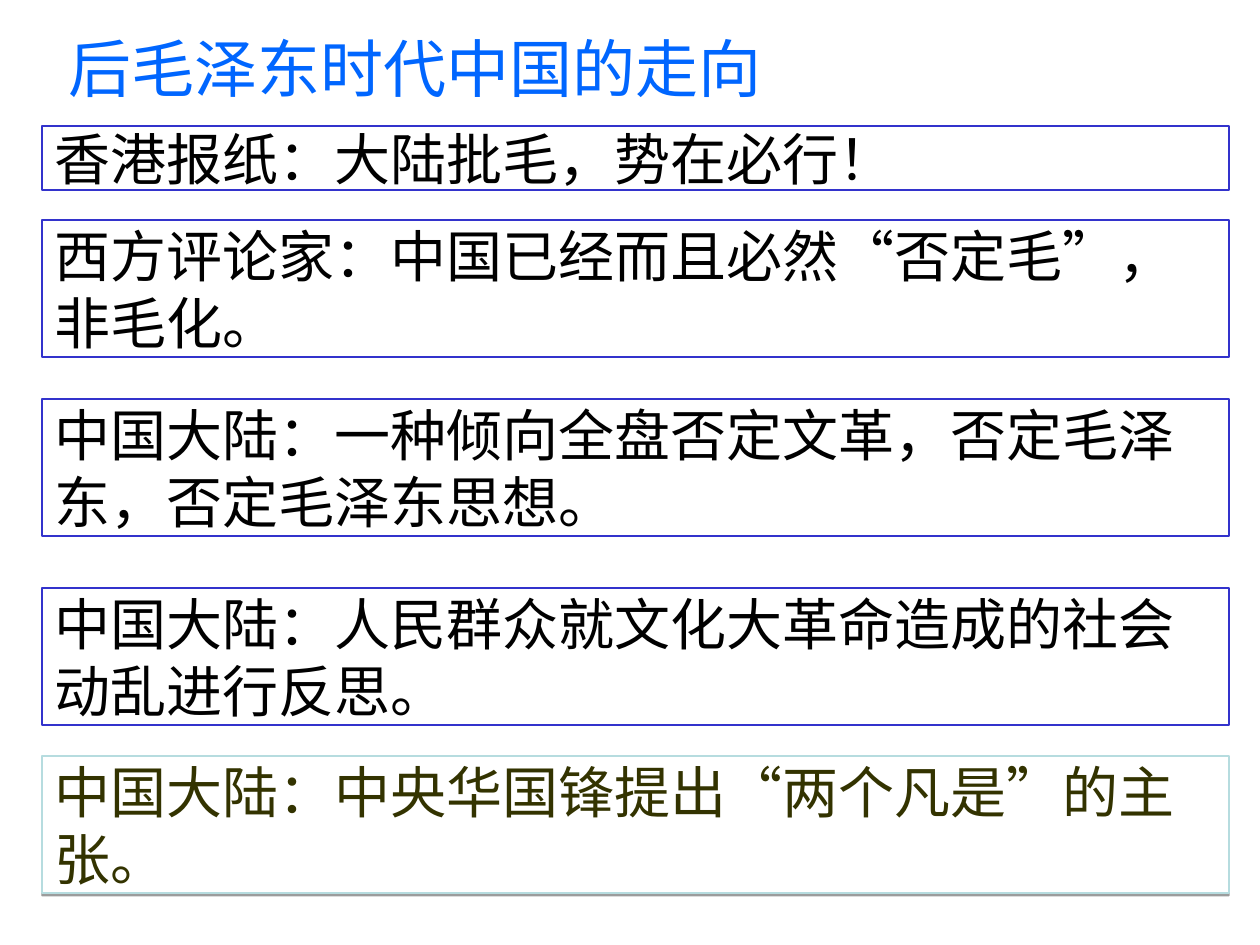
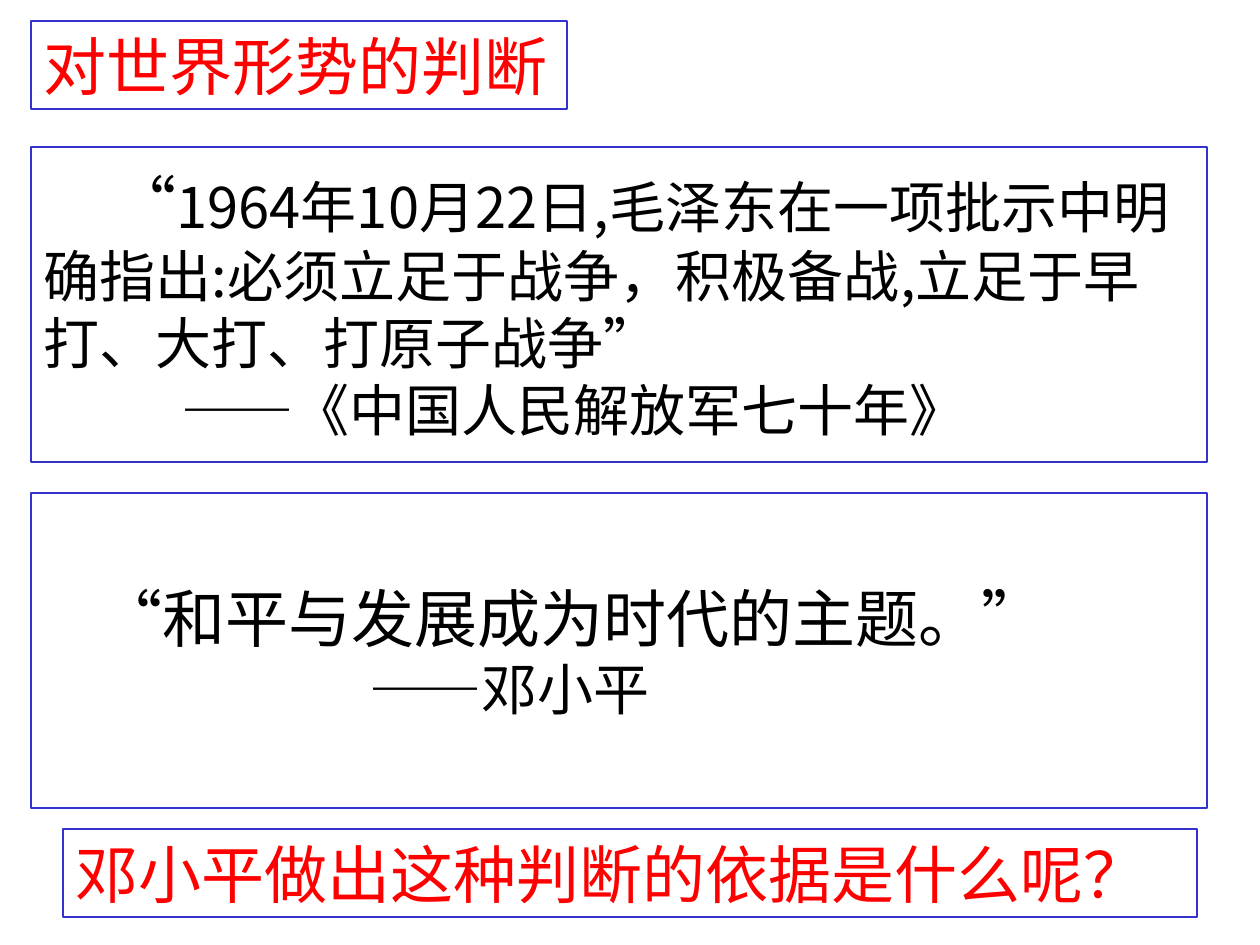
"""Build two slides on the course of China after Mao and its view of the world."""
import lxml.etree
import pptx
import pptx.dml.color
import pptx.enum.lang
import pptx.enum.shapes
import pptx.enum.text
import pptx.oxml.ns
import pptx.util

EMU_PER_PX = 914400 / 126
FONT = "Noto Sans CJK SC"
BLACK = pptx.dml.color.RGBColor(0x00, 0x00, 0x00)
WHITE = pptx.dml.color.RGBColor(0xFF, 0xFF, 0xFF)
BLUE = pptx.dml.color.RGBColor(0x00, 0x66, 0xFF)
RED = pptx.dml.color.RGBColor(0xFF, 0x00, 0x00)
OLIVE = pptx.dml.color.RGBColor(0x33, 0x33, 0x00)
BORDER = pptx.dml.color.RGBColor(0x33, 0x33, 0xCC)
PALE_BORDER = pptx.dml.color.RGBColor(0xB6, 0xDC, 0xDF)
LARGE, BODY = 36, 32
MIDDLE = pptx.enum.text.MSO_ANCHOR.MIDDLE
TOP = pptx.enum.text.MSO_ANCHOR.TOP

TREND_TITLE = "后毛泽东时代中国的走向"
VIEW_LEFT, VIEW_WIDTH = 42, 1187
HIGHLIGHT = {"color": OLIVE, "line": PALE_BORDER, "fill": WHITE, "shadow": True}
VIEWS = [
    (126, 64, "香港报纸：大陆批毛，势在必行！", {}),
    (220, 137, "西方评论家：中国已经而且必然“否定毛”，非毛化。", {}),
    (399, 137, "中国大陆：一种倾向全盘否定文革，否定毛泽东，否定毛泽东思想。", {}),
    (588, 137, "中国大陆：人民群众就文化大革命造成的社会动乱进行反思。", {}),
    (756, 137, "中国大陆：中央华国锋提出“两个凡是”的主张。", HIGHLIGHT),
]

QUOTE_LEFT, QUOTE_WIDTH, QUOTE_HEIGHT = 31, 1176, 315
QUOTES = [
    (147, [
        (70, [("“", LARGE),
              ("1964年10月22日,毛泽东在一项批示中明确指出:必须立足于战争，"
               "积极备战,立足于早打、大打、打原子战争”", BODY)]),
        (138, [("——《中国人民解放军七十年》", BODY)]),
    ]),
    (493, [
        (56, [("“和平与发展成为时代的主题。”", LARGE)]),
        (326, [("——邓小平", BODY)]),
    ]),
]
RED_LINES = [
    ((31, 21, 536, 88), "对世界形势的判断"),
    ((63, 829, 1134, 88), "邓小平做出这种判断的依据是什么呢？"),
]


def px(length):
    return pptx.util.Emu(round(length * EMU_PER_PX))


def add_shadow(shape):
    effects = shape._element.spPr.find(pptx.oxml.ns.qn("a:effectLst"))
    shadow = lxml.etree.SubElement(effects, pptx.oxml.ns.qn("a:outerShdw"),
                                   dist="20320", dir="5400000", rotWithShape="0")
    color = lxml.etree.SubElement(shadow, pptx.oxml.ns.qn("a:srgbClr"), val="000000")
    lxml.etree.SubElement(color, pptx.oxml.ns.qn("a:alpha"), val="38000")


def add_text(slide, box, text, size=BODY, color=BLACK, line=BORDER, fill=None,
             shadow=False, anchor=MIDDLE, align=pptx.enum.text.PP_ALIGN.LEFT):
    """Add a box with text, given as a string or as (indent, runs) paragraphs."""
    shape = slide.shapes.add_shape(pptx.enum.shapes.MSO_SHAPE.RECTANGLE, *map(px, box))
    shape.shadow.inherit = False
    if shadow:
        add_shadow(shape)
    if fill is None:
        shape.fill.background()
    else:
        shape.fill.solid()
        shape.fill.fore_color.rgb = fill
    if line is None:
        shape.line.fill.background()
    else:
        shape.line.color.rgb = line
        shape.line.width = pptx.util.Pt(0.75)
    frame = shape.text_frame
    frame.word_wrap = True
    frame.vertical_anchor = anchor
    paragraphs = [(0, [(text, size)])] if isinstance(text, str) else text
    for index, (indent, runs) in enumerate(paragraphs):
        paragraph = frame.add_paragraph() if index else frame.paragraphs[0]
        paragraph.alignment = align
        paragraph._p.get_or_add_pPr().set("indent", str(px(indent)))
        for words, run_size in runs:
            run = paragraph.add_run()
            run.text = words
            run.font.size = pptx.util.Pt(run_size)
            run.font.color.rgb = color
            run.font.name = FONT
            run.font.language_id = pptx.enum.lang.MSO_LANGUAGE_ID.SIMPLIFIED_CHINESE
            lxml.etree.SubElement(run.font._element, pptx.oxml.ns.qn("a:ea"), typeface=FONT)


def build_trend_slide(slide):
    add_text(slide, (53, 31, 724, 73), TREND_TITLE, size=LARGE, color=BLUE, line=None,
             align=pptx.enum.text.PP_ALIGN.CENTER)
    for top, height, view, style in VIEWS:
        add_text(slide, (VIEW_LEFT, top, VIEW_WIDTH, height), view, **style)


def build_judgement_slide(slide):
    for top, paragraphs in QUOTES:
        add_text(slide, (QUOTE_LEFT, top, QUOTE_WIDTH, QUOTE_HEIGHT), paragraphs)
    for box, words in RED_LINES:
        add_text(slide, box, words, size=LARGE, color=RED, anchor=TOP)


def main():
    presentation = pptx.Presentation()
    presentation.slide_width, presentation.slide_height = px(1260), px(945)
    for build in (build_trend_slide, build_judgement_slide):
        build(presentation.slides.add_slide(presentation.slide_layouts[6]))
    presentation.save("out.pptx")


if __name__ == "__main__":
    main()
